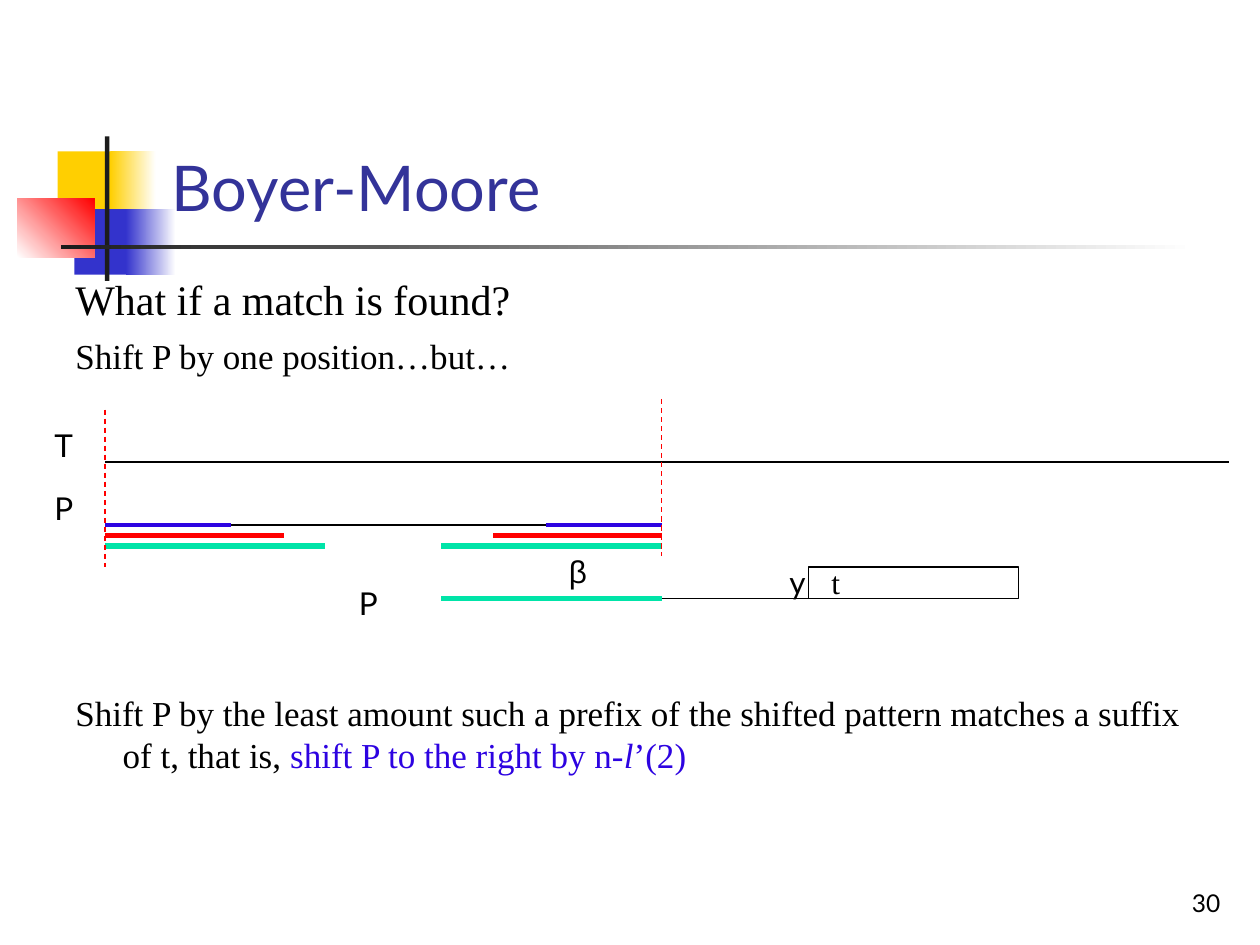
from dataclasses import dataclass

from lxml import etree
from pptx import Presentation
from pptx.dml.color import RGBColor
from pptx.enum.dml import MSO_LINE
from pptx.enum.shapes import MSO_CONNECTOR, MSO_SHAPE
from pptx.enum.text import MSO_ANCHOR, PP_ALIGN
from pptx.oxml.ns import qn
from pptx.util import Pt

RECT = MSO_SHAPE.RECTANGLE
CELL = MSO_SHAPE.FLOWCHART_PROCESS
LINE = MSO_CONNECTOR.STRAIGHT
DASH = MSO_LINE.DASH
TOP, BOTTOM = MSO_ANCHOR.TOP, MSO_ANCHOR.BOTTOM
LEFT, RIGHT = PP_ALIGN.LEFT, PP_ALIGN.RIGHT


@dataclass(frozen=True)
class Theme:
    sans: str = "Lato"
    serif: str = "Times New Roman"
    greek: str = "Arial"
    title: int = 36
    lead: int = 24
    body: int = 20
    label: int = 18
    small: int = 14
    black: str = "000000"
    white: str = "FFFFFF"
    dark: str = "1C1C1C"
    head: str = "333399"
    gold: str = "FFCF01"
    navy: str = "3333CC"
    red: str = "FF0000"
    blue: str = "2D03E1"
    green: str = "00E4A8"


def add_run(par, words, *, size, font, color, italic=False):
    run = par.add_run()
    run.text = words
    run.font.size = Pt(size)
    run.font.name = font
    run.font.italic = italic
    run.font.color.rgb = RGBColor.from_string(color)


class Painter:
    def __init__(self, theme, slide):
        self.theme = theme
        self.shapes = slide.shapes

    def block(self, box, start, end=None, angle=0):
        """Borderless rectangle, plain or fading from start to end."""
        shape = self.shapes.add_shape(RECT, *map(Pt, box))
        shape.shadow.inherit = False
        shape.line.fill.background()
        if end is None:
            shape.fill.solid()
            shape.fill.fore_color.rgb = RGBColor.from_string(start)
            return
        shape.fill.gradient()
        shape.fill.gradient_angle = angle
        for stop, color in zip(shape.fill.gradient_stops, (start, end)):
            stop.color.rgb = RGBColor.from_string(color)

    def frame(self, box, color, width=0.75):
        shape = self.shapes.add_shape(CELL, *map(Pt, box))
        shape.shadow.inherit = False
        shape.fill.background()
        shape.line.color.rgb = RGBColor.from_string(color)
        shape.line.width = Pt(width)

    def line(self, x1, y1, x2, y2, color, width=0.75, dash=None):
        line = self.shapes.add_connector(LINE, *map(Pt, (x1, y1, x2, y2)))
        line.line.color.rgb = RGBColor.from_string(color)
        line.line.width = Pt(width)
        if dash:
            line.line.dash_style = dash
        etree.SubElement(line._element.spPr, qn("a:effectLst"))

    def frame_text(self, box, anchor=TOP):
        frame = self.shapes.add_textbox(*map(Pt, box)).text_frame
        frame.word_wrap = True
        frame.vertical_anchor = anchor
        return frame

    def text(self, words, box, anchor=TOP, align=LEFT, **style):
        par = self.frame_text(box, anchor).paragraphs[0]
        par.alignment = align
        add_run(par, words, **style)

    def body(self, box, items, hang):
        """Paragraphs with a hanging indent: (space before, runs)."""
        frame = self.frame_text(box)
        for i, (space, runs) in enumerate(items):
            par = frame.add_paragraph() if i else frame.paragraphs[0]
            props = par._p.get_or_add_pPr()
            props.set("marL", str(Pt(hang)))
            props.set("indent", str(Pt(-hang)))
            if space:
                par.space_before = Pt(space)
            for words, style in runs:
                add_run(par, words, **style)


def main():
    deck = Presentation()
    deck.slide_width, deck.slide_height = Pt(720), Pt(540)
    look = Theme()
    art = Painter(look, deck.slides.add_slide(deck.slide_layouts[6]))

    # Corner ornament and title rule
    art.block((33, 86.5, 34.5, 37.5), look.gold)
    art.block((63, 86.5, 26, 37.5), look.gold, look.white)
    art.block((42.5, 119.5, 33, 37.5), look.navy)
    art.block((72, 119.5, 28.5, 37.5), look.navy, look.white)
    art.block((10, 113.5, 44, 33.5), look.white, look.red, angle=45)
    art.block((60, 78, 2.5, 82.5), look.dark)
    art.block((35, 140, 648, 2.5), look.dark, look.white)

    # Page number and title
    art.text("30", (554.5, 492, 150, 36), BOTTOM, RIGHT,
             size=look.small, font=look.sans, color=look.black)
    art.text("Boyer-Moore", (91, 16.5, 613.5, 115), BOTTOM,
             size=look.title, font=look.sans, color=look.head)

    # Body text, with room for the diagram before the last paragraph
    lead = dict(size=look.lead, font=look.serif, color=look.black)
    plain = dict(lead, size=look.body)
    key = dict(plain, color=look.blue)
    art.body((36, 153, 651, 324), [
        (0, [("What if a match is found?", lead)]),
        (6, [("Shift P by one position…but…", plain)]),
        (180, [("Shift P by the least amount such a prefix of the shifted "
                "pattern matches a suffix of t, that is, ", plain),
               ("shift P to the right by n-", key),
               ("l", dict(key, italic=True)),
               ("’(2)", key)]),
    ], hang=27)

    # Text T, pattern P and shifted pattern
    start, end, shift = 60, 378, 252
    row_t, row_p, row_s = 264, 300, 342
    for x1, x2, y in ((start, 702, row_t), (66, end, row_p),
                      (288, 582, row_s)):
        art.line(x1, y, x2, y, look.black)
    art.frame((462, 324, 120, 18), look.black)

    # Labels
    for words, x, y, font in (("y", 444, 318, look.sans),
                              ("t", 468, 318, look.serif),
                              ("T", 24, 240, look.sans),
                              ("P", 24, 276, look.sans),
                              ("P", 198, 330, look.sans),
                              ("β", 318, 312, look.greek)):
        art.text(words, (x, y, 30, 29), size=look.label, font=font,
                 color=look.black)

    # Matching prefixes and suffixes
    for x1, x2, y, color, width in (
            (312, end, row_p, look.blue, 2.25),
            (282, end, row_p + 6, look.red, 3),
            (start, 162, row_p + 6, look.red, 3),
            (start, 132, row_p, look.blue, 2.25),
            (start, 186, row_p + 12, look.green, 3),
            (shift, end, row_p + 12, look.green, 3),
            (shift, end, row_s, look.green, 3)):
        art.line(x1, y, x2, y, color, width)

    # Match limits
    for x, y in ((start, 234), (end, 228)):
        art.line(x, y, x, y + 90, look.red, dash=DASH)

    deck.save("out.pptx")


if __name__ == "__main__":
    main()
